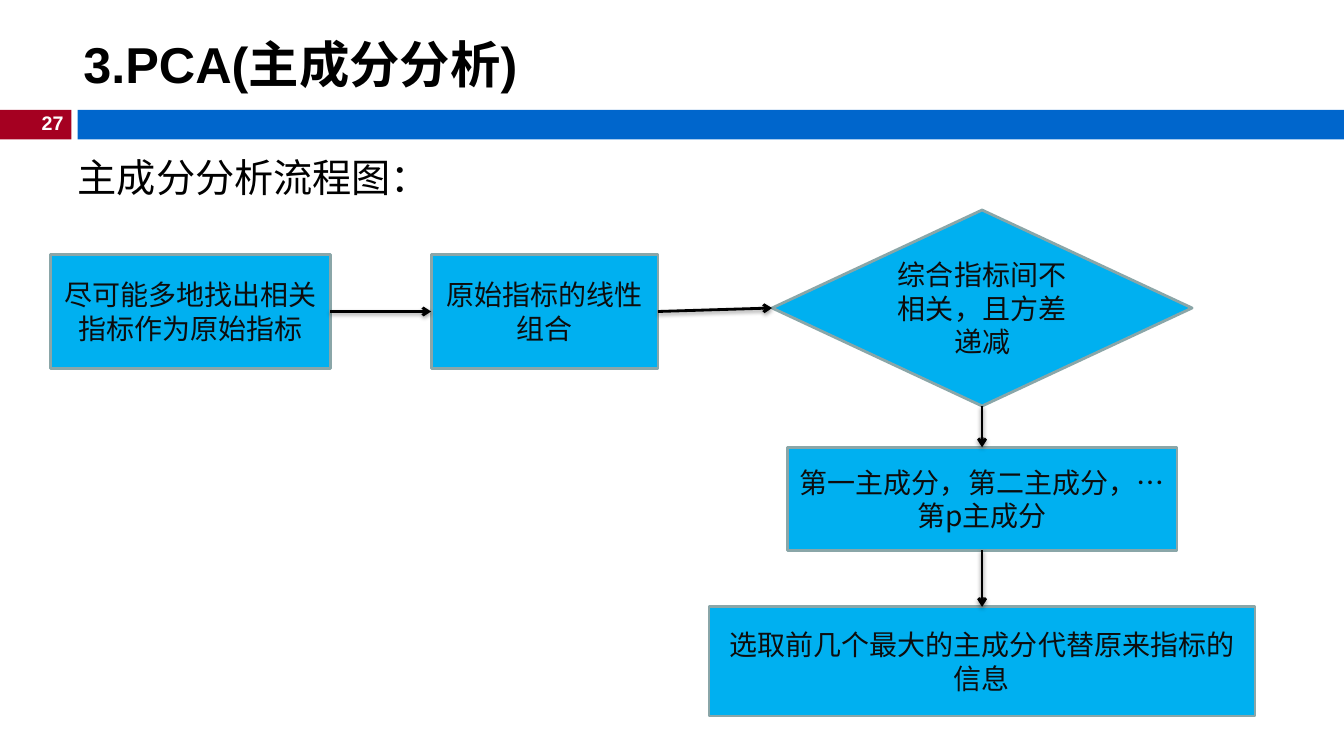
from pptx import Presentation
from pptx.dml.color import RGBColor
from pptx.enum import shapes, text
from pptx.oxml import parse_xml
from pptx.oxml.ns import nsdecls
from pptx.util import Pt

# Content: lengths in points
CJK = "Noto Sans CJK SC"
PROCESS = shapes.MSO_SHAPE.FLOWCHART_PROCESS
DECISION = shapes.MSO_SHAPE.FLOWCHART_DECISION
LEFT, CENTER, RIGHT = text.PP_ALIGN.LEFT, text.PP_ALIGN.CENTER, text.PP_ALIGN.RIGHT
TOP, MIDDLE = text.MSO_ANCHOR.TOP, text.MSO_ANCHOR.MIDDLE

BARS = [(0, 51, "A50021"), (55.5, 904.5, "0066CC")]  # left, width, colour
BAR_TOP, BAR_HEIGHT = 78.5, 21

# text, box, size, colour, bold, align, anchor, wrap
LABELS = [
    ("27", (21, 75.5, 31.5, 24.5), 14, "FFFFFF", True, RIGHT, TOP, False),
    ("3.PCA(主成分分析)", (52.5, 19, 583, 53), 36, "000000", True, LEFT, MIDDLE, True),
    ("主成分分析流程图：", (48.5, 106, 279, 41), 28, "000000", False, LEFT, TOP, True),
]

# text, shape, centre x, top, width, height
COLUMN = 701.5
STEPS = [
    ("尽可能多地找出相关指标作为原始指标", PROCESS, 136, 182, 200, 81),
    ("原始指标的线性组合", PROCESS, 389, 182, 162, 81),
    ("综合指标间不相关，且方差递减", DECISION, COLUMN, 150, 300, 140),
    ("第一主成分，第二主成分，…第p主成分", PROCESS, COLUMN, 319.5, 278.5, 73.5),
    ("选取前几个最大的主成分代替原来指标的信息", PROCESS, COLUMN, 433.5, 390, 78),
]
ACROSS, DOWN = (3, 1), (2, 0)  # connection sites: from, to
ARROWS = [ACROSS, ACROSS, DOWN, DOWN]


def rgb(hex_code):
    return RGBColor.from_string(hex_code)


def write(shape, words, size, color, font="Arial", bold=False,
          align=CENTER, anchor=MIDDLE, wrap=True):
    tf = shape.text_frame
    tf.text = words
    tf.word_wrap = wrap
    tf.vertical_anchor = anchor
    p = tf.paragraphs[0]
    p.alignment = align
    r = p.runs[0]
    r.font.name, r.font.size, r.font.bold = font, Pt(size), bold
    r.font.color.rgb = rgb(color)
    latin = r.font._element.find("{*}latin")
    latin.addnext(parse_xml(f'<a:ea {nsdecls("a")} typeface="{CJK}"/>'))


def add_box(kind, box, fill, line=None):
    s = slide.shapes.add_shape(kind, *map(Pt, box))
    s.shadow.inherit = False
    s.fill.solid()
    s.fill.fore_color.rgb = rgb(fill)
    if line:
        s.line.color.rgb = rgb(line)
        s.line.width = Pt(2)
    else:
        s.line.fill.background()
    return s


def add_arrow(start, end, sites):
    c = slide.shapes.add_connector(shapes.MSO_CONNECTOR.STRAIGHT, 0, 0, 0, 0)
    c.begin_connect(start, sites[0])
    c.end_connect(end, sites[1])
    c.line.color.rgb = rgb("000000")
    c.line.width = Pt(2)
    c.line._get_or_add_ln().append(
        parse_xml(f'<a:tailEnd {nsdecls("a")} type="arrow"/>'))
    c._element.spPr.append(parse_xml(
        f'<a:effectLst {nsdecls("a")}><a:outerShdw blurRad="{Pt(3.1)}" dist="{Pt(1.6)}" '
        'dir="5400000" rotWithShape="0"><a:srgbClr val="000000">'
        '<a:alpha val="38000"/></a:srgbClr></a:outerShdw></a:effectLst>'))


prs = Presentation()
prs.slide_width, prs.slide_height = Pt(960), Pt(540)
slide = prs.slides.add_slide(prs.slide_layouts[6])

# Header bars
for left, width, color in BARS:
    add_box(shapes.MSO_SHAPE.RECTANGLE, (left, BAR_TOP, width, BAR_HEIGHT), color)

# Page number, title and heading
for words, box, size, color, bold, align, anchor, wrap in LABELS:
    s = slide.shapes.add_textbox(*map(Pt, box))
    write(s, words, size, color, bold=bold, align=align, anchor=anchor, wrap=wrap)

# Flowchart steps
steps = []
for words, kind, center, top, width, height in STEPS:
    s = add_box(kind, (center - width / 2, top, width, height), "00B0F0", "8AA6A8")
    write(s, words, 20, "0D0D0D", font=CJK)
    steps.append(s)

# Arrows between consecutive steps
for start, end, sites in zip(steps, steps[1:], ARROWS):
    add_arrow(start, end, sites)

prs.save("out.pptx")
